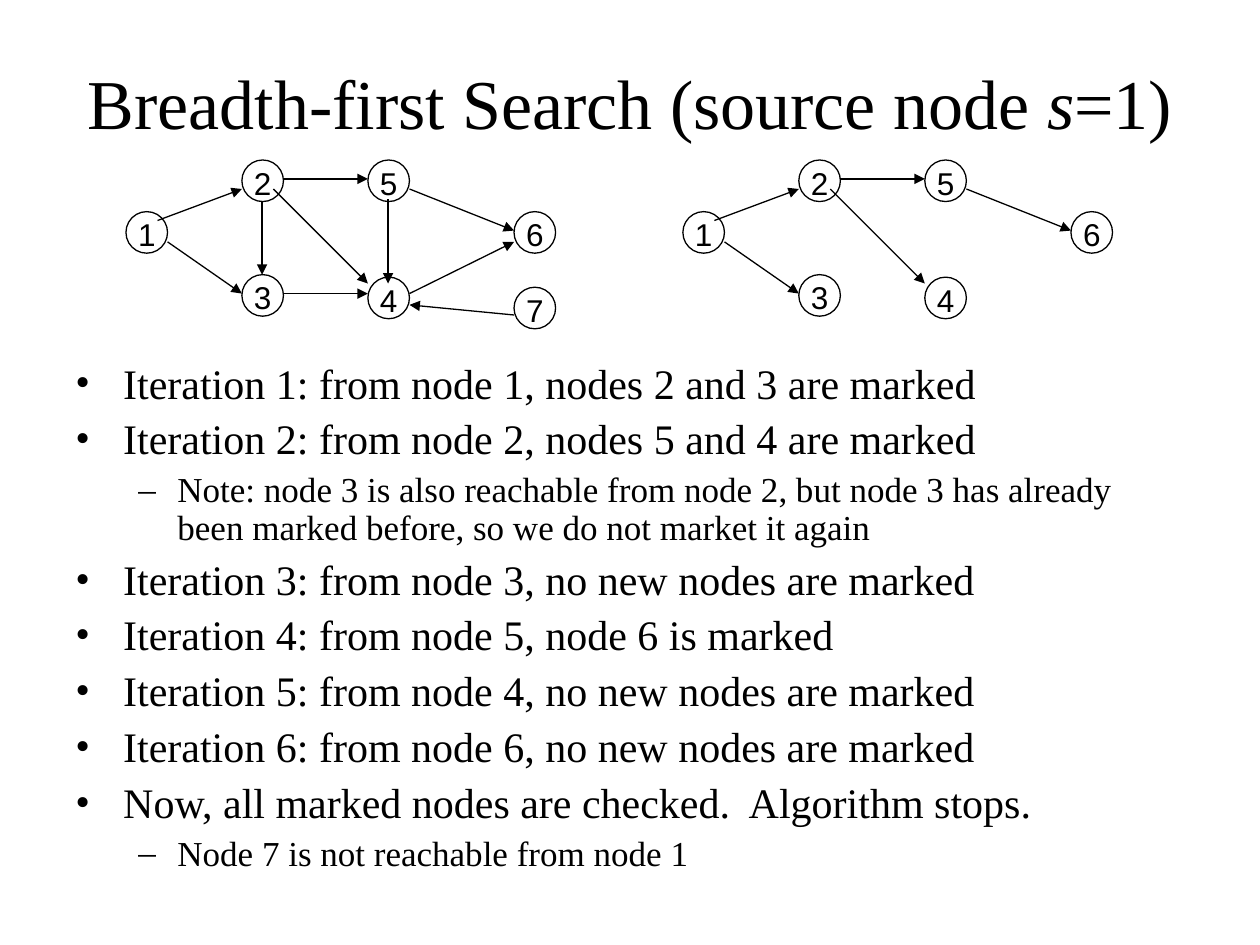
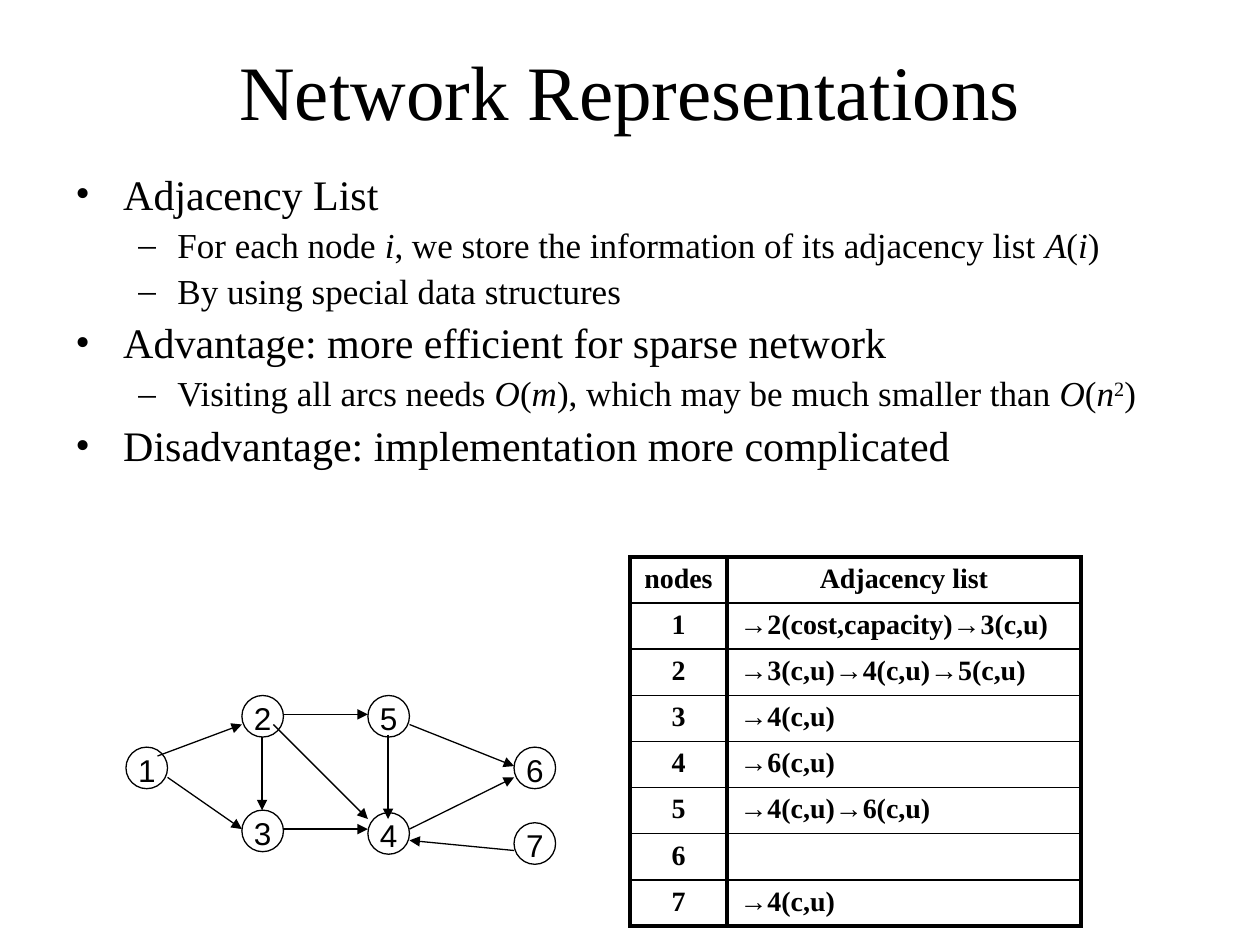
from lxml.etree import SubElement
from pptx import Presentation
from pptx.dml.color import RGBColor
from pptx.enum.shapes import MSO_CONNECTOR as Connector, MSO_SHAPE as Shape
from pptx.enum.text import MSO_ANCHOR as Anchor, PP_ALIGN as Align
from pptx.oxml.ns import qn
from pptx.util import Inches, Pt

SERIF, SANS = "Times New Roman", "Arial"
BLACK = "000000"
TITLE_ONLY = 5

# Bullet levels: mark, text indent, hanging indent, size, space before
LEVELS = [("•", 0.38, 0.38, 24, 6), ("–", 0.81, 0.31, 20, 5)]

# Places relative to the top left corner of a network
NODE_SIZE = 0.33
NODES = {
    1: (0, 0.41), 2: (0.92, 0), 3: (0.92, 0.91), 5: (1.92, 0),
    4: (1.92, 0.93), 6: (3.08, 0.41), 7: (3.08, 1.01),
}
ARCS = {
    (1, 2): (0.25, 0.48, 0.92, 0.23),
    (1, 3): (0.33, 0.65, 0.92, 1.06),
    (2, 3): (1.08, 0.33, 1.08, 0.91),
    (2, 5): (1.25, 0.15, 1.92, 0.15),
    (5, 4): (2.08, 0.31, 2.08, 0.98),
    (3, 4): (1.25, 1.06, 1.92, 1.06),
    (2, 4): (1.17, 0.23, 1.92, 0.98),
    (5, 6): (2.25, 0.23, 3.08, 0.56),
    (4, 6): (2.25, 1.06, 3.08, 0.65),
    (7, 4): (3.08, 1.23, 2.25, 1.15),
}
SEARCH_TREE = [(1, 2), (1, 3), (2, 5), (2, 4), (5, 6)]

# Each entry is a level and a text; "|" parts spans, "_" marks italic, "^" superscript
ITERATIONS = [
    (0, "Iteration 1: from node 1, nodes 2 and 3 are marked"),
    (0, "Iteration 2: from node 2, nodes 5 and 4 are marked"),
    (1, "Note: node 3 is also reachable from node 2, but node 3 has already "
        "been marked before, so we do not market it again"),
    (0, "Iteration 3: from node 3, no new nodes are marked"),
    (0, "Iteration 4: from node 5, node 6 is marked"),
    (0, "Iteration 5: from node 4, no new nodes are marked"),
    (0, "Iteration 6: from node 6, no new nodes are marked"),
    (0, "Now, all marked nodes are checked.  Algorithm stops."),
    (1, "Node 7 is not reachable from node 1"),
]
ADJACENCY_POINTS = [
    (0, "Adjacency List"),
    (1, "For each node |_i|, we store the information of its adjacency list |_A|(|_i|)"),
    (1, "By using special data structures"),
    (0, "Advantage: more efficient for sparse network"),
    (1, "Visiting all arcs needs |_O|(|_m|), which may be much smaller than |_O|(|_n|^2|)"),
    (0, "Disadvantage: implementation more complicated"),
]
ADJACENCY_LISTS = [
    "→2(cost,capacity)→3(c,u)", "→3(c,u)→4(c,u)→5(c,u)", "→4(c,u)",
    "→6(c,u)", "→4(c,u)→6(c,u)", "", "→4(c,u)",
]


def color(code):
    return RGBColor.from_string(code)


def style_line(line):
    line.color.rgb = color(BLACK)
    line.width = Pt(0.75)


def style_font(span, font, size, bold=False):
    span.font.name = font
    span.font.size = Pt(size)
    span.font.bold = bold
    span.font.color.rgb = color(BLACK)


def add_spans(para, marked_text, font, size):
    for part in marked_text.split("|"):
        span = para.add_run()
        span.text = part.lstrip("_^")
        style_font(span, font, size)
        if part.startswith("_"):
            span.font.italic = True
        elif part.startswith("^"):
            span.font._element.set("baseline", "30000")


def add_bullet_mark(para, mark, indent, hanging):
    props = para._p.get_or_add_pPr()
    props.set("marL", str(Inches(indent)))
    props.set("indent", str(-Inches(hanging)))
    SubElement(props, qn("a:buFont")).set("typeface", SERIF)
    SubElement(props, qn("a:buChar")).set("char", mark)


def add_cell_borders(cell, widths):
    """Draw the left, right, top and bottom borders, in points."""
    props = cell._tc.get_or_add_tcPr()
    for side, width in zip("LRTB", widths):
        border = SubElement(props, qn(f"a:ln{side}"), w=str(Pt(width)))
        fill = SubElement(border, qn("a:solidFill"))
        SubElement(fill, qn("a:srgbClr")).set("val", BLACK)


class SlideWriter:
    def __init__(self, deck):
        self.deck = deck
        self.page = None

    def new_page(self, title, top, height, size):
        self.page = self.deck.slides.add_slide(self.deck.slide_layouts[TITLE_ONLY])
        box = self.page.shapes.title
        box.left, box.top = Inches(0.5), Inches(top)
        box.width, box.height = Inches(9), Inches(height)
        frame = box.text_frame
        frame.vertical_anchor = Anchor.MIDDLE
        frame.paragraphs[0].alignment = Align.CENTER
        add_spans(frame.paragraphs[0], title, SERIF, size)

    def bullets(self, points, top, height):
        box = self.page.shapes.add_textbox(
            Inches(0.5), Inches(top), Inches(9), Inches(height))
        frame = box.text_frame
        frame.word_wrap = True
        for index, (level, text) in enumerate(points):
            mark, indent, hanging, size, space = LEVELS[level]
            para = frame.add_paragraph() if index else frame.paragraphs[0]
            para.level = level
            para.line_spacing = 0.9
            if index:
                para.space_before = Pt(space)
            add_bullet_mark(para, mark, indent, hanging)
            add_spans(para, text, SERIF, size)

    def node(self, name, left, top):
        group = self.page.shapes.add_group_shape()
        size = Inches(NODE_SIZE)
        circle = group.shapes.add_shape(
            Shape.OVAL, Inches(left), Inches(top), size, size)
        circle.shadow.inherit = False
        circle.fill.background()
        style_line(circle.line)
        label = group.shapes.add_textbox(
            Inches(left), Inches(top - 0.02), size, Inches(0.4))
        frame = label.text_frame
        frame.margin_left = frame.margin_right = 0
        frame.word_wrap = True
        para = frame.paragraphs[0]
        para.text = str(name)
        para.alignment = Align.CENTER
        style_font(para.runs[0], SANS, 18)

    def arrow(self, x1, y1, x2, y2):
        arrow = self.page.shapes.add_connector(
            Connector.STRAIGHT, Inches(x1), Inches(y1), Inches(x2), Inches(y2))
        style_line(arrow.line)
        SubElement(arrow.line._get_or_add_ln(), qn("a:tailEnd")).set("type", "triangle")
        SubElement(arrow._element.spPr, qn("a:effectLst"))

    def network(self, left, top, arcs):
        """Draw the given arcs and every node that they touch."""
        used = {name for arc in arcs for name in arc}
        for name, (x, y) in NODES.items():
            if name in used:
                self.node(name, left + x, top + y)
        for arc in arcs:
            x1, y1, x2, y2 = ARCS[arc]
            self.arrow(left + x1, top + y1, left + x2, top + y2)

    def table(self, rows, left, top, widths, height):
        frame = self.page.shapes.add_table(
            len(rows), len(widths), Inches(left), Inches(top),
            Inches(sum(widths)), Inches(height))
        table = frame.table
        table.first_row = table.horz_banding = False
        for column, width in zip(table.columns, widths):
            column.width = Inches(width)
        last = len(rows) - 1
        for r, row in enumerate(rows):
            for c, text in enumerate(row):
                cell = table.cell(r, c)
                cell.margin_bottom = 0
                add_cell_borders(
                    cell, (2.25, 2.25, 1 if r else 2.25, 2.25 if r == last else 1))
                cell.fill.background()
                para = cell.text_frame.paragraphs[0]
                para.text = text
                para.alignment = Align.CENTER if r == 0 or c == 0 else Align.LEFT
                for span in para.runs:
                    style_font(span, SERIF, 16, bold=True)


def main():
    deck = Presentation()
    deck.slide_width, deck.slide_height = Inches(10), Inches(7.5)
    writer = SlideWriter(deck)

    writer.new_page("Breadth-first Search (source node |_s|=1)", 0.33, 0.95, 40)
    writer.bullets(ITERATIONS, 2.83, 4.25)
    writer.network(1, 1.27, ARCS)
    writer.network(5.42, 1.27, SEARCH_TREE)

    writer.new_page("Network Representations", 0.25, 0.92, 44)
    writer.bullets(ADJACENCY_POINTS, 1.33, 3)
    writer.network(1, 5.52, ARCS)
    rows = [("nodes", "Adjacency list")]
    rows += [(str(name), text) for name, text in enumerate(ADJACENCY_LISTS, 1)]
    writer.table(rows, 5, 4.42, (0.77, 2.81), 2.93)

    deck.save("out.pptx")


if __name__ == "__main__":
    main()
